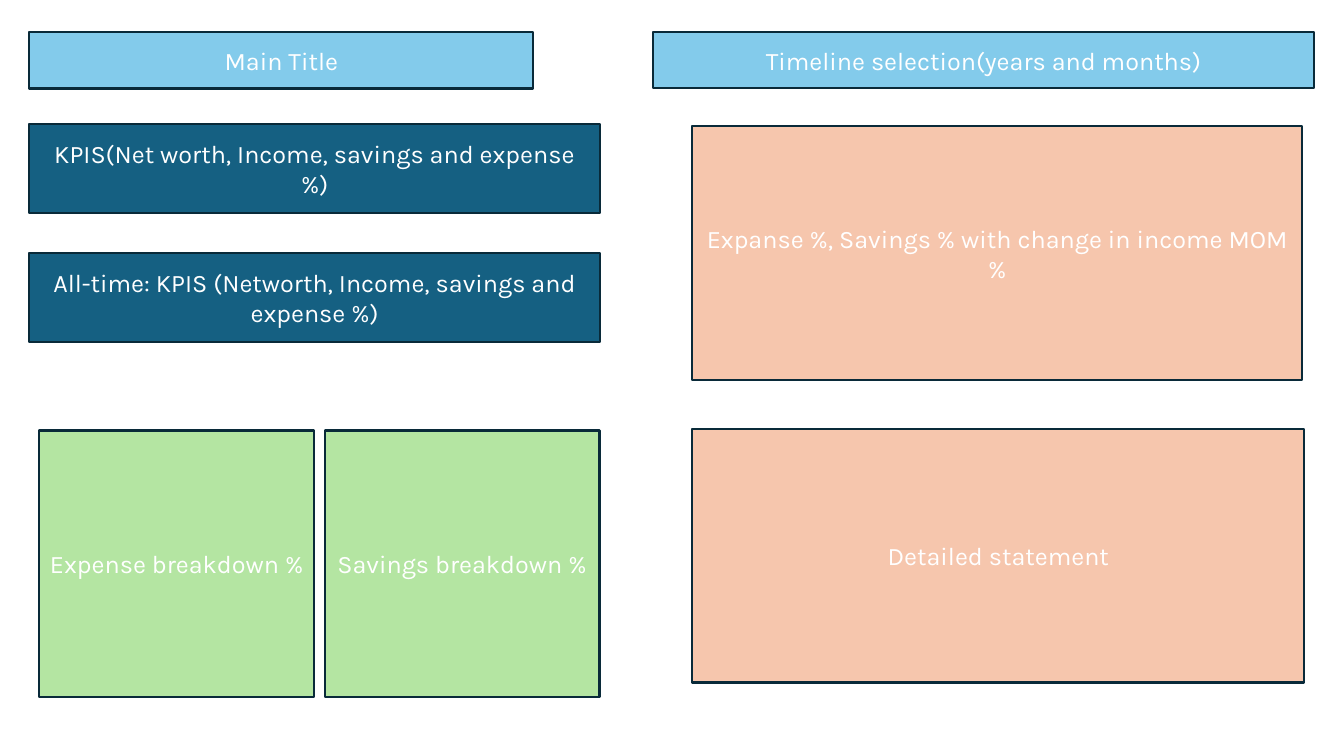
from pptx import Presentation
from pptx.dml.color import RGBColor
from pptx.enum.shapes import MSO_SHAPE as Shape
from pptx.enum.text import MSO_ANCHOR as Anchor, MSO_AUTO_SIZE as AutoSize, PP_ALIGN as Align
from pptx.util import Cm, Pt

COLOURS = {
    "header": "83CBEB",
    "kpi": "156082",
    "breakdown": "B4E5A2",
    "detail": "F6C6AD",
    "outline": "092A39",
    "text": "FFFFFF",
}
TITLE_ONLY = 5


def colour(name):
    return RGBColor.from_string(COLOURS[name])


def write_text(shape, text, size=18, font="Karla", color="text", align=Align.CENTER):
    frame = shape.text_frame
    frame.text = text
    frame.word_wrap = True
    frame.auto_size = AutoSize.NONE
    frame.vertical_anchor = Anchor.MIDDLE
    paragraph = frame.paragraphs[0]
    paragraph.alignment = align
    run_font = paragraph.runs[0].font
    run_font.name = font
    run_font.size = Pt(size)
    run_font.color.rgb = colour(color)


def style_panel(shape, text, fill):
    shape.shadow.inherit = False
    shape.fill.solid()
    shape.fill.fore_color.rgb = colour(fill)
    shape.line.color.rgb = colour("outline")
    shape.line.width = Pt(1.5)
    write_text(shape, text)


def add_title(slide, text, left, top, width, height):
    title = slide.shapes.title
    title.left, title.top = Cm(left), Cm(top)
    title.width, title.height = Cm(width), Cm(height)
    style_panel(title, text, "header")


def add_panel(slide, text, fill, left, top, width, height):
    shape = slide.shapes.add_shape(
        Shape.RECTANGLE, Cm(left), Cm(top), Cm(width), Cm(height))
    style_panel(shape, text, fill)


def main():
    presentation = Presentation()
    presentation.slide_width, presentation.slide_height = Cm(33.87), Cm(19.05)
    slide = presentation.slides.add_slide(presentation.slide_layouts[TITLE_ONLY])

    add_title(slide, "Main Title", 0.74, 0.81, 12.7, 1.42)
    add_panel(slide, "Timeline selection(years and months)", "header",
              16.46, 0.81, 16.66, 1.42)

    kpis = ["KPIS(Net worth, Income, savings and expense %)",
            "All-time: KPIS (Networth, Income, savings and expense %)"]
    for row, text in enumerate(kpis):
        add_panel(slide, text, "kpi", 0.74, 3.12 + row * 3.26, 14.38, 2.24)

    for column, subject in enumerate(["Expense", "Savings"]):
        add_panel(slide, f"{subject} breakdown %", "breakdown",
                  0.99 + column * 7.19, 10.85, 6.93, 6.71)

    add_panel(slide, "Expanse %, Savings % with change in income MOM %", "detail",
              17.45, 3.18, 15.37, 6.4)
    add_panel(slide, "Detailed statement", "detail", 17.45, 10.8, 15.42, 6.4)

    presentation.save("out.pptx")


if __name__ == "__main__":
    main()
